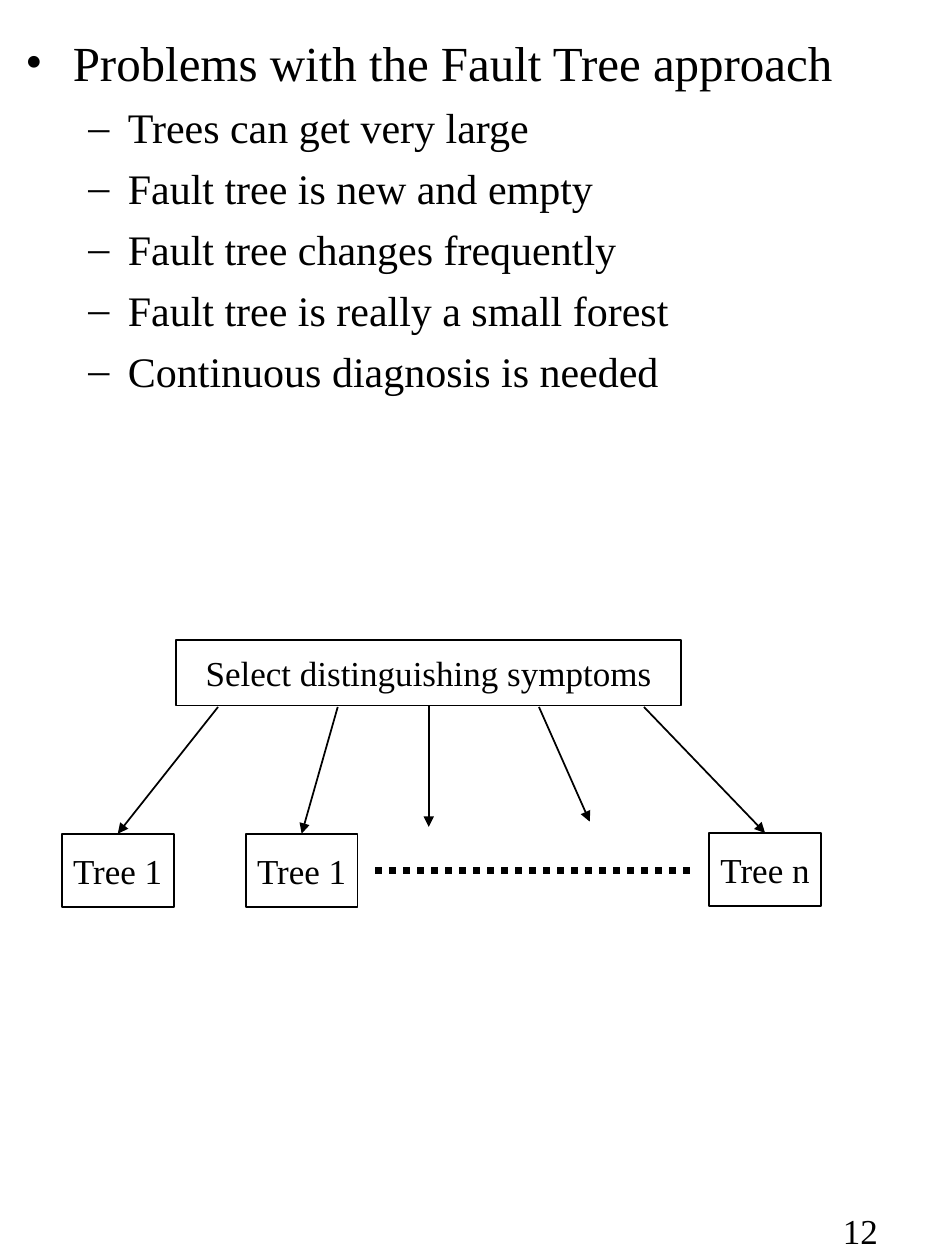
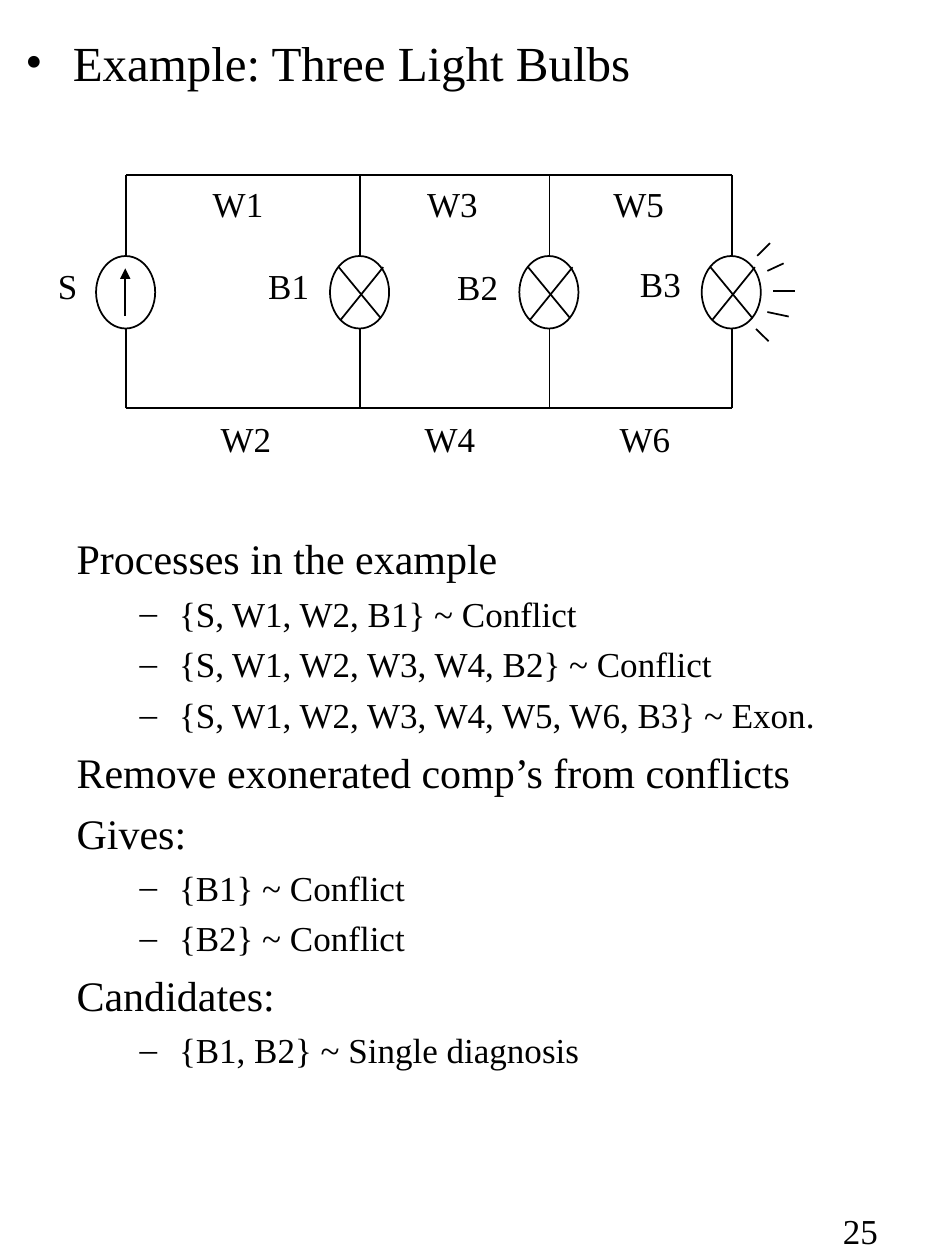
import pptx
import pptx.util
import pptx.dml.color
import pptx.enum.dml
import pptx.enum.shapes
import pptx.enum.text
import pptx.oxml.ns
from lxml import etree

Pt = pptx.util.Pt
BLACK = pptx.dml.color.RGBColor(0, 0, 0)
FACE = "Times New Roman"
KIND = pptx.enum.shapes.MSO_SHAPE
LINE = pptx.enum.shapes.MSO_CONNECTOR.STRAIGHT
ALIGN = pptx.enum.text.PP_ALIGN
MID = pptx.enum.text.MSO_ANCHOR.MIDDLE
qn = pptx.oxml.ns.qn

STYLES = {
    "head": {"size": 28, "left": 27, "hang": 27, "mark": "•"},
    "item": {"size": 24, "left": 58.5, "hang": 22.5, "mark": "–"},
    "lead": {"size": 24, "left": 27, "hang": 27, "mark": None},
    "set": {"size": 20, "left": 58.5, "hang": 22.5, "mark": "–"},
    "label": {"size": 20, "left": 0, "hang": 0, "mark": None},
}


def write(shape, lines, wrap=False, align=ALIGN.LEFT):
    frame = shape.text_frame
    frame.word_wrap = wrap
    for num, (style, text) in enumerate(lines):
        look = STYLES[style]
        para = frame.paragraphs[0] if num == 0 else frame.add_paragraph()
        para.alignment = align
        para.space_before = Pt(look["size"] / 4 if num else 0)
        props = para._p.get_or_add_pPr()
        props.set("marL", str(Pt(look["left"])))
        props.set("indent", str(-Pt(look["hang"])))
        if look["mark"]:
            etree.SubElement(props, qn("a:buFont")).set("typeface", FACE)
            etree.SubElement(props, qn("a:buChar")).set("char", look["mark"])
        run = para.add_run()
        run.text = text
        run.font.color.rgb = BLACK
        for key, value in {"name": FACE, "size": Pt(look["size"])}.items():
            setattr(run.font, key, value)


def link(shapes, start, end, arrow=False, width=1):
    wire = shapes.add_connector(LINE, *map(Pt, (*start, *end)))
    wire.line.color.rgb = BLACK
    wire.line.width = Pt(width)
    etree.SubElement(wire._element.spPr, qn("a:effectLst"))
    if arrow:
        edge = wire.line._get_or_add_ln()
        etree.SubElement(edge, qn("a:tailEnd")).set("type", "triangle")
    return wire


deck = pptx.Presentation()
deck.slide_width = Pt(540)
deck.slide_height = Pt(720)

PAGES = [
    ("12", 261, [
        ("head", "Problems with the Fault Tree approach"),
        ("item", "Trees can get very large"),
        ("item", "Fault tree is new and empty"),
        ("item", "Fault tree changes frequently"),
        ("item", "Fault tree is really a small forest"),
        ("item", "Continuous diagnosis is needed"),
    ]),
    ("25", 52.5, [("head", "Example: Three Light Bulbs")]),
]
slides = []
for number, tall, lines in PAGES:
    slide = deck.slides.add_slide(deck.slide_layouts[6])
    foot = slide.shapes.add_textbox(Pt(474.5), Pt(687.5), Pt(98), Pt(31))
    write(foot, [("label", number)])
    body = slide.shapes.add_textbox(Pt(7.5), Pt(15), Pt(526), Pt(tall))
    write(body, lines, wrap=True)
    slides.append(slide)
trees, bulbs = slides

BOXES = [
    ("Select distinguishing symptoms", 100.6, 365.8, 288.8, 37.4),
    ("Tree 1", 35.3, 476.4, 64, 41.8),
    ("Tree 1", 140.4, 476.4, 64, 41.8),
    ("Tree n", 405.2, 476, 64, 41.8),
]
nodes = []
for text, *place in BOXES:
    node = trees.shapes.add_shape(KIND.RECTANGLE, *map(Pt, place))
    node.shadow.inherit = False
    node.fill.background()
    node.line.color.rgb = BLACK
    node.line.width = Pt(1)
    node.text_frame.vertical_anchor = MID
    write(node, [("label", text)], align=ALIGN.CENTER)
    nodes.append(node)
root, *leaves = nodes

for left, leaf in zip((124.6, 193, 368), leaves):
    arrow = link(trees.shapes, (left, 404), (left, 476), arrow=True)
    arrow.end_connect(leaf, 0)
middle = link(trees.shapes, (245, 403), (245, 472.5), arrow=True)
middle.begin_connect(root, 2)
link(trees.shapes, (308, 404), (337, 469.5), arrow=True)
dots = link(trees.shapes, (214.5, 497.5), (395.5, 497.5), width=4)
dots.line.dash_style = pptx.enum.dml.MSO_LINE.ROUND_DOT

notes = bulbs.shapes.add_textbox(Pt(36.7), Pt(301), Pt(459.4), Pt(380))
write(notes, [
    ("lead", "Processes in the example"),
    ("set", "{S, W1, W2, B1} ~ Conflict"),
    ("set", "{S, W1, W2, W3, W4, B2} ~ Conflict"),
    ("set", "{S, W1, W2, W3, W4, W5, W6, B3} ~ Exon."),
    ("lead", "Remove exonerated comp’s from conflicts"),
    ("lead", "Gives:"),
    ("set", "{B1} ~ Conflict"),
    ("set", "{B2} ~ Conflict"),
    ("lead", "Candidates:"),
    ("set", "{B1, B2} ~ Single diagnosis"),
], wrap=True)

plan = bulbs.shapes.add_group_shape().shapes
TOP, LOW = 100, 233.3
WIDE, HIGH, RIM = 33.8, 41.4, 146.3
PARTS = [("S", 54.9, 26, 147.5, 27), ("B1", 188.6, 146.2, 147.5, 39),
         ("B2", 296.8, 254.2, 148, 39), ("B3", 401, 358.6, 146.2, 39)]
for name, left, side, top, span in PARTS:
    ring = plan.add_shape(KIND.OVAL, Pt(left), Pt(RIM), Pt(WIDE), Pt(HIGH))
    ring.shadow.inherit = False
    ring.fill.background()
    ring.line.color.rgb = BLACK
    ring.line.width = Pt(1)
    mid = left + WIDE / 2 + 0.3
    link(plan, (mid, RIM), (mid, TOP))
    link(plan, (mid, LOW), (mid, RIM + HIGH))
    if name == "S":
        link(plan, (mid - 0.5, 180.7), (mid - 0.5, 153.4), arrow=True)
    else:
        link(plan, (left + 5, RIM + 6.4), (left + 29, RIM + 35.5))
        link(plan, (left + 30.4, RIM + 6.4), (left + 5.8, RIM + 36.8))
    tag = plan.add_textbox(Pt(side), Pt(top), Pt(span), Pt(31))
    write(tag, [("label", name)])

for level in (TOP, LOW):
    link(plan, (72.1, level), (418.2, level))

WIRES = [("W1", 114.5, 100.8), ("W3", 237, 100.8), ("W5", 343.4, 100.8),
         ("W2", 119, 235.2), ("W4", 235.6, 235.2), ("W6", 347, 235.2)]
for name, left, top in WIRES:
    tag = plan.add_textbox(Pt(left), Pt(top), Pt(45), Pt(31))
    write(tag, [("label", name)])

RAYS = [((432.7, 146.2), (440, 139)), ((438.5, 154.8), (447.8, 150.5)),
        ((442, 166.3), (454.3, 166.3)), ((438.5, 178.3), (450.7, 180.9)),
        ((432, 188), (439.2, 195))]
for start, end in RAYS:
    link(plan, start, end)

deck.save("out.pptx")
